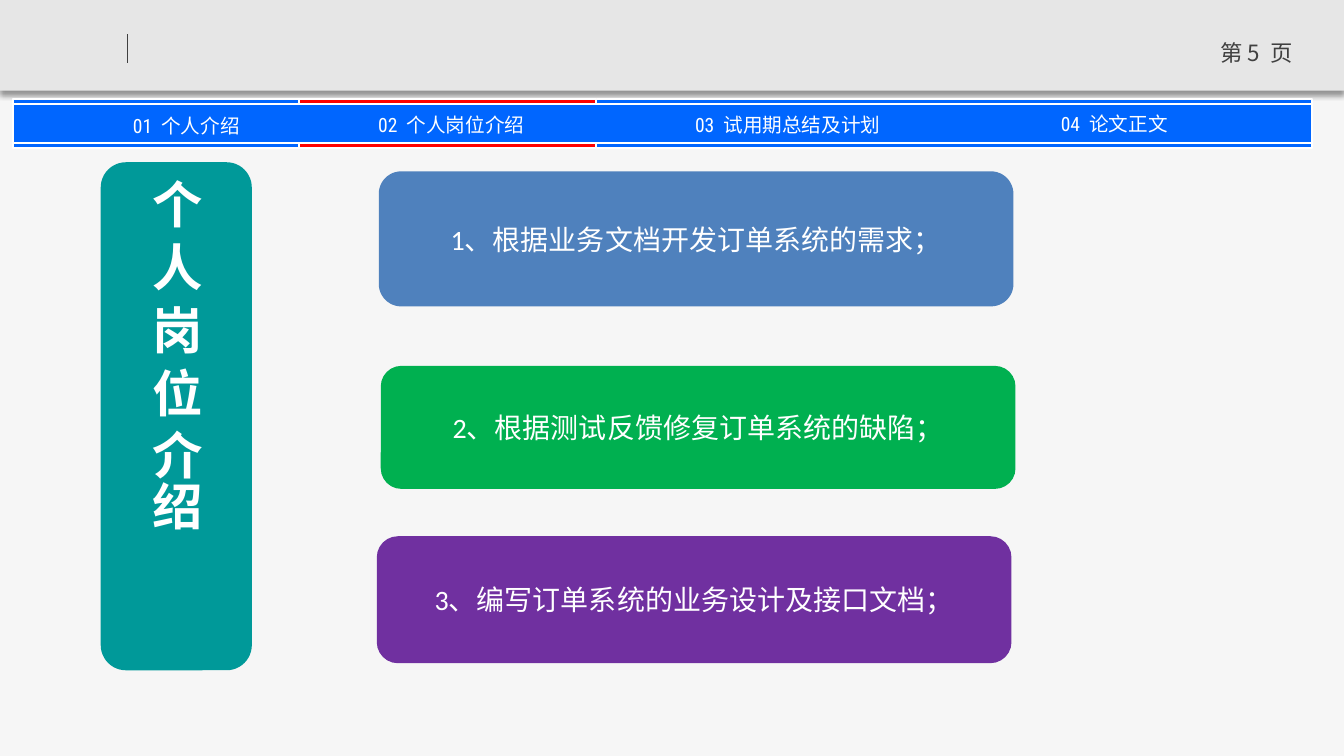
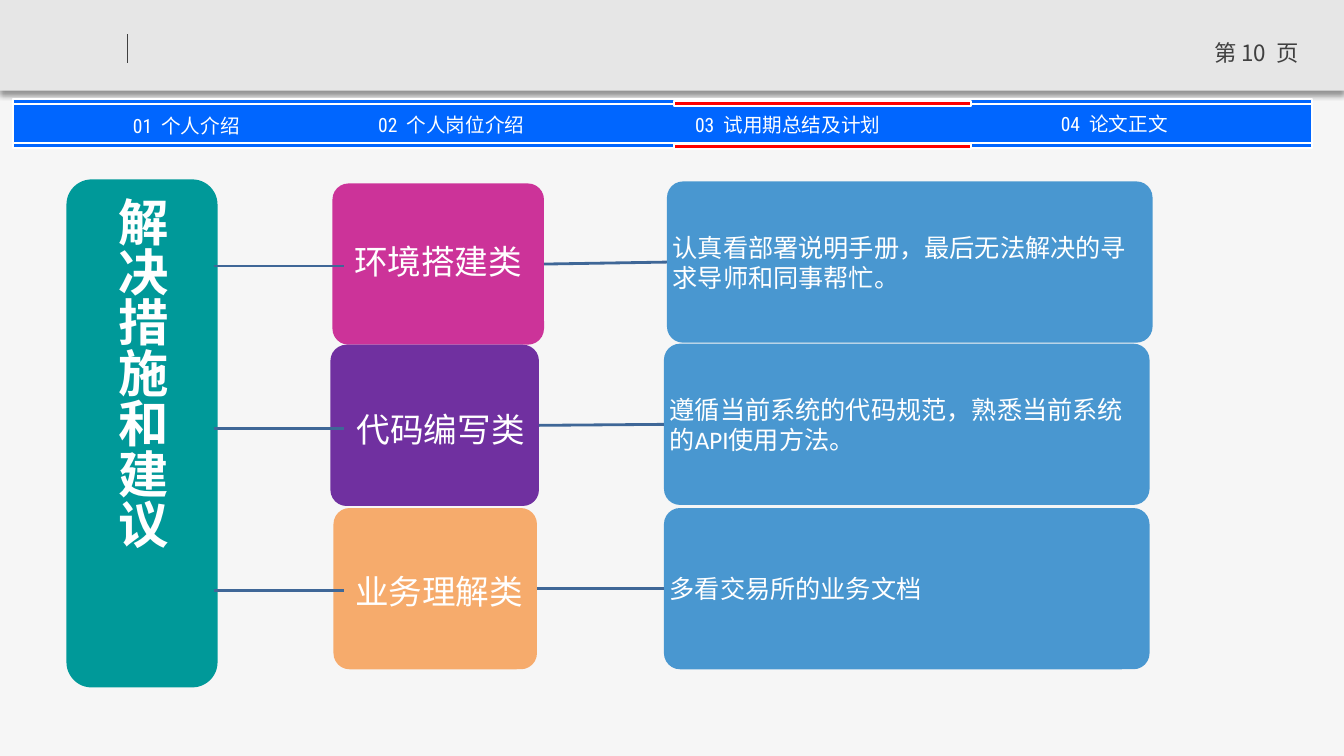
from lxml import etree
from pptx import Presentation
from pptx.dml.color import RGBColor
from pptx.enum.shapes import MSO_CONNECTOR, MSO_SHAPE
from pptx.enum.text import MSO_ANCHOR, PP_ALIGN
from pptx.oxml.ns import qn
from pptx.util import Inches, Pt

# Shared style
PAGE = RGBColor(0xF6, 0xF6, 0xF6)
HEADER = RGBColor(0xE6, 0xE6, 0xE6)
DARK = RGBColor(0x40, 0x40, 0x40)
WHITE = RGBColor(0xFF, 0xFF, 0xFF)
NAV_BLUE = RGBColor(0x00, 0x66, 0xFF)
NAV_RED = RGBColor(0xFF, 0x00, 0x00)
TEAL = RGBColor(0x00, 0x99, 0x99)
STEEL = RGBColor(0x4F, 0x81, 0xBD)
GREEN = RGBColor(0x00, 0xB0, 0x50)
PURPLE = RGBColor(0x70, 0x30, 0xA0)
PINK = RGBColor(0xCC, 0x33, 0x99)
ORANGE = RGBColor(0xF7, 0x96, 0x46)
DETAIL_BLUE = RGBColor(0x00, 0x70, 0xC0)
LINK = RGBColor(0x3F, 0x67, 0x97)
BODY, CJK, NAV_FONT = "Calibri", "Noto Sans CJK SC", "Roboto Condensed"

SLIDE_W, SLIDE_H = 13.34, 7.5
NAV_X, NAV_W, STRIPE_H = 0.13, 12.89, 0.05
TITLE_W, TITLE_H = 1.5, 5.04

# Navigation labels: left, top, number, name, name font
NAV = [
    (0.61, 1.13, "01  ", "个人介绍", NAV_FONT),
    (3.24, 1.12, "02  ", "个人岗位介绍", NAV_FONT),
    (6.58, 1.12, "03  ", "试用期总结及计划", CJK),
    (9.82, 1.11, "04  ", "论文正文", NAV_FONT),
]

# Duties: left, top, height, colour, text
DUTIES = [
    (3.76, 1.70, 1.34, STEEL, "1、根据业务文档开发订单系统的需求；"),
    (3.78, 3.63, 1.22, GREEN, "2、根据测试反馈修复订单系统的缺陷；"),
    (3.74, 5.32, 1.26, PURPLE, "3、编写订单系统的业务设计及接口文档；"),
]

# Measures: category box (left, top, width), colour, opacity, text shift,
# category, detail box (left, top), detail
MEASURES = [
    ((3.30, 1.82, 2.10), PINK, 100, (0, 0), "环境搭建类",
     (6.62, 1.80), "认真看部署说明手册，最后无法解决的寻求导师和同事帮忙。"),
    ((3.28, 3.42, 2.07), PURPLE, 100, (0.06, 0.06), "代码编写类",
     (6.59, 3.41), "遵循当前系统的代码规范，熟悉当前系统的API使用方法。"),
    ((3.31, 5.04, 2.02), ORANGE, 78, (0.04, 0.05), "业务理解类",
     (6.59, 5.04), "多看交易所的业务文档"),
]
MEASURE_H, DETAIL_W = 1.6, 4.82
BRANCH_X, BRANCH_TOP, BRANCH_STEP = (2.12, 3.41), 2.64, 1.61


def add_box(slide, kind, left, top, width, height, fill, border=None, opacity=100):
    box = slide.shapes.add_shape(
        kind, Inches(left), Inches(top), Inches(width), Inches(height))
    box.shadow.inherit = False
    box.fill.solid()
    box.fill.fore_color.rgb = fill
    if opacity < 100:
        colour = box._element.spPr.find(qn("a:solidFill"))[0]
        etree.SubElement(colour, qn("a:alpha"), val=str(opacity * 1000))
    if border is None:
        box.line.fill.background()
    else:
        box.line.color.rgb = border
        box.line.width = Pt(1.5)
    return box


def write(shape, runs, size, colour=WHITE, bold=False, align=PP_ALIGN.CENTER,
          anchor=MSO_ANCHOR.MIDDLE, insets=(0.1, 0.05, 0.1, 0.05)):
    """Fill a shape with one paragraph of (text, font) runs."""
    frame = shape.text_frame
    frame.word_wrap = True
    frame.vertical_anchor = anchor
    (frame.margin_left, frame.margin_top,
     frame.margin_right, frame.margin_bottom) = map(Inches, insets)
    paragraph = frame.paragraphs[0]
    paragraph.alignment = align
    for text, font in runs:
        run = paragraph.add_run()
        run.text = text
        run.font.size = Pt(size)
        run.font.bold = bold
        run.font.color.rgb = colour
        run.font.name = font
        etree.SubElement(run._r.get_or_add_rPr(), qn("a:ea"), typeface=CJK)
    return paragraph


def add_label(slide, left, top, width, height, runs, size, **style):
    label = slide.shapes.add_textbox(
        Inches(left), Inches(top), Inches(width), Inches(height))
    write(label, runs, size, **style)


def add_line(slide, x1, y1, x2, y2, colour, width):
    line = slide.shapes.add_connector(
        MSO_CONNECTOR.STRAIGHT, Inches(x1), Inches(y1), Inches(x2), Inches(y2))
    line.line.color.rgb = colour
    line.line.width = Pt(width)
    etree.SubElement(line._element.spPr, qn("a:effectLst"))
    return line


def add_header_shadow(header):
    effects = header._element.spPr.find(qn("a:effectLst"))
    shadow = etree.SubElement(
        effects, qn("a:outerShdw"), blurRad=str(Pt(4)), dist=str(Pt(3)),
        dir="5400000", algn="t", rotWithShape="0")
    colour = etree.SubElement(shadow, qn("a:srgbClr"), val="000000")
    etree.SubElement(colour, qn("a:alpha"), val="40000")


def add_page(prs, number, marker_x, marker_tops):
    """Start a slide with its header, navigation and section marker."""
    slide = prs.slides.add_slide(prs.slide_layouts[6])
    header = add_box(slide, MSO_SHAPE.RECTANGLE, 0, 0, SLIDE_W, 0.9, HEADER)
    add_header_shadow(header)
    add_line(slide, 1.27, 0.34, 1.27, 0.63, DARK, 0.75)
    add_label(slide, 11.87, 0.34, 1.2, 0.4, [(f"第 {number}  页", CJK)], 16,
              colour=DARK, anchor=MSO_ANCHOR.TOP)
    # Navigation band with a stripe on either side
    for top, height in ((1.03, 0.43), (1.42, STRIPE_H), (0.98, STRIPE_H)):
        add_box(slide, MSO_SHAPE.RECTANGLE, NAV_X, top, NAV_W, height,
                NAV_BLUE, WHITE)
    for left, top, index, name, font in NAV:
        add_label(slide, left, top, 2.48, 0.24,
                  [(index, NAV_FONT), (name, font)], 14, insets=(0, 0, 0, 0))
    # Marker of the current section
    for top in marker_tops:
        add_box(slide, MSO_SHAPE.RECTANGLE, marker_x, top, 2.95, STRIPE_H,
                NAV_RED, WHITE)
    return slide


def add_side_title(slide, left, top, text, align):
    title = add_box(slide, MSO_SHAPE.ROUNDED_RECTANGLE, left, top,
                    TITLE_W, TITLE_H, TEAL)
    write(title, [(text, BODY)], 36, bold=True, align=align)
    title.text_frame._txBody.bodyPr.set("vert", "eaVert")


def build_duties(prs):
    slide = add_page(prs, 5, 2.97, (1.42, 0.98))
    add_side_title(slide, 1, 1.61, "个 人 岗 位 介绍", PP_ALIGN.LEFT)
    for left, top, height, colour, text in DUTIES:
        duty = add_box(slide, MSO_SHAPE.ROUNDED_RECTANGLE, left, top, 6.3,
                       height, colour)
        write(duty, [(text, BODY)], 20)


def build_measures(prs):
    slide = add_page(prs, 10, 6.69, (1.43, 1.0))
    add_side_title(slide, 0.66, 1.78, "解决措施和建议", PP_ALIGN.CENTER)
    for row, (place, colour, opacity, shift, name, spot, advice) in enumerate(MEASURES):
        left, top, width = place
        category = add_box(slide, MSO_SHAPE.ROUNDED_RECTANGLE, left, top,
                           width, MEASURE_H, colour, opacity=opacity)
        category.adjustments[0] = 0.1
        dx, dy = shift
        paragraph = write(category, [(name, BODY)], 24,
                          insets=(0.02 + 2 * dx, 0.02 + 2 * dy, 0.02, 0.02))
        paragraph.line_spacing = 0.9

        detail = add_box(slide, MSO_SHAPE.ROUNDED_RECTANGLE, *spot, DETAIL_W,
                         MEASURE_H, DETAIL_BLUE, opacity=70)
        detail.adjustments[0] = 0.1
        write(detail, [(advice, BODY)], 18, align=PP_ALIGN.LEFT,
              insets=(0.01, 0.01, 0.01, 0.01))

        # Branch from the title, then link from category to detail
        branch_y = BRANCH_TOP + row * BRANCH_STEP
        add_line(slide, BRANCH_X[0], branch_y, BRANCH_X[1], branch_y, LINK, 2)
        middle = top + MEASURE_H / 2
        link = add_line(slide, left + width, middle, spot[0], middle, LINK, 2)
        link.begin_connect(category, 3)
        link.end_connect(detail, 1)


def main():
    prs = Presentation()
    prs.slide_width, prs.slide_height = Inches(SLIDE_W), Inches(SLIDE_H)
    background = prs.slide_master.background.fill
    background.solid()
    background.fore_color.rgb = PAGE
    build_duties(prs)
    build_measures(prs)
    prs.save("out.pptx")


if __name__ == "__main__":
    main()
